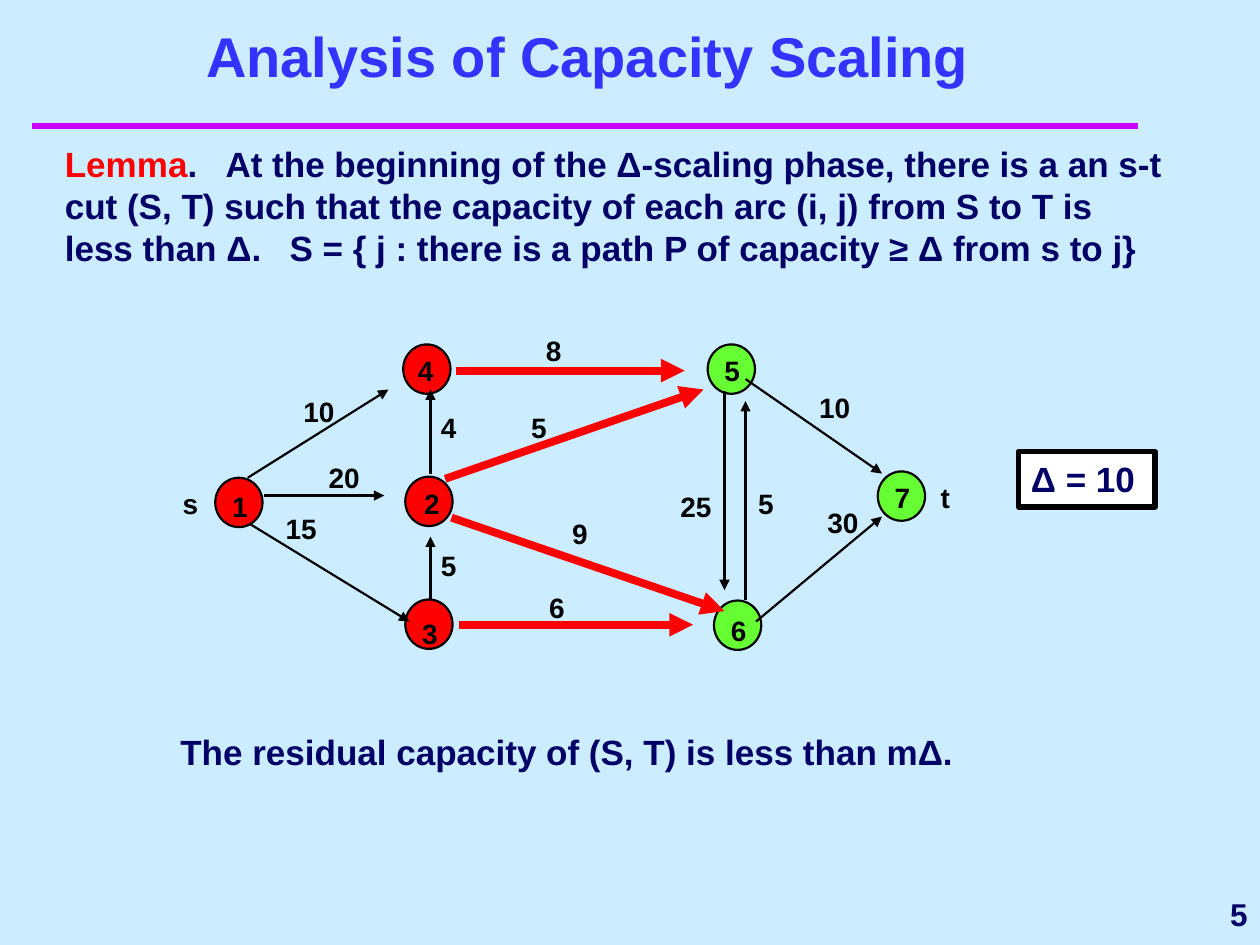
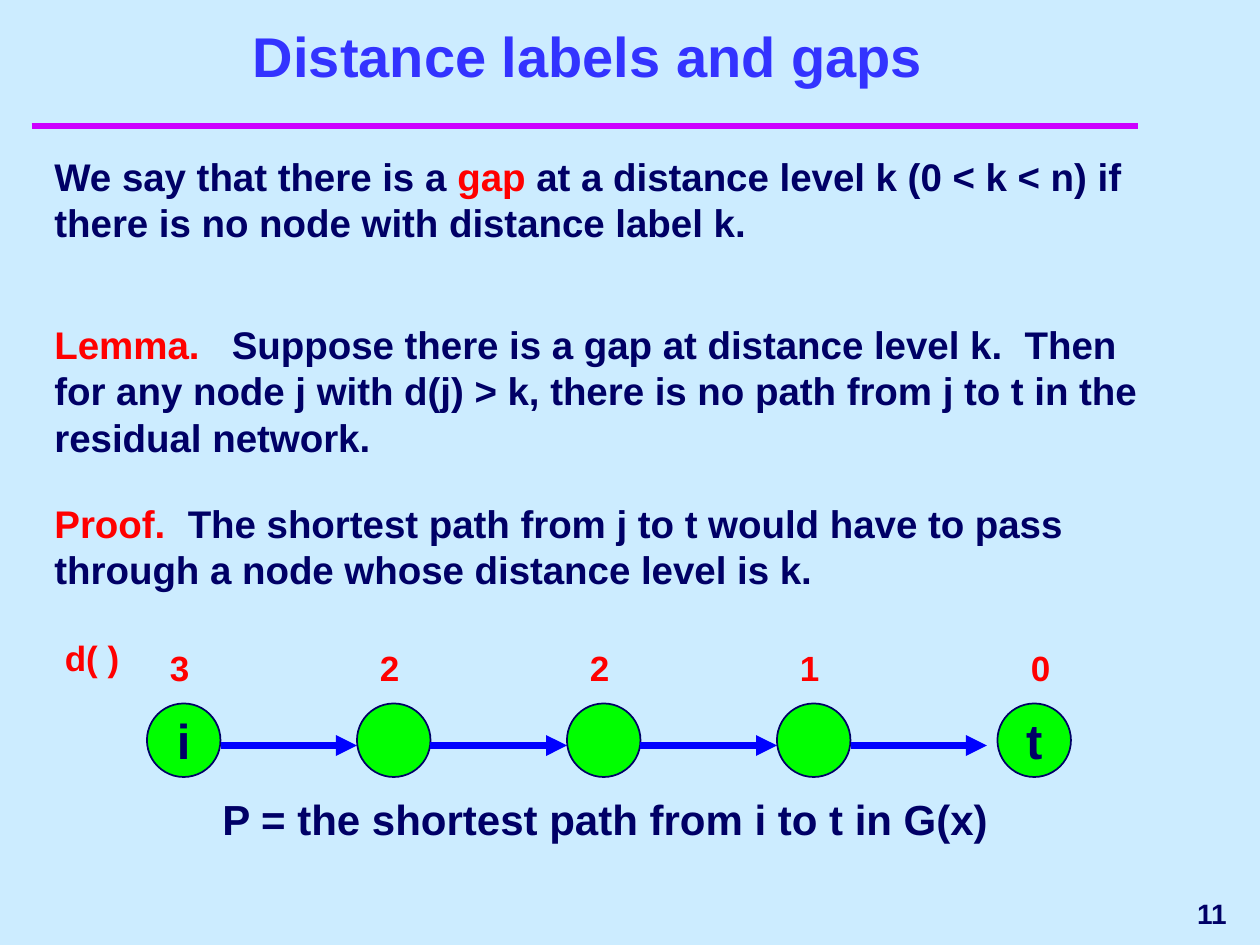
from typing import NamedTuple

from lxml.etree import SubElement
from pptx import Presentation
from pptx.dml.color import RGBColor
from pptx.enum.shapes import MSO_CONNECTOR, MSO_SHAPE
from pptx.enum.text import MSO_ANCHOR as Anchor, PP_ALIGN as Align
from pptx.oxml.ns import qn
from pptx.shapes.autoshape import Shape
from pptx.slide import Slide
from pptx.text.text import TextFrame
from pptx.util import Emu, Pt

EMU_PER_PX = 7620  # 120 px to the inch
FONT = "Arial"

SKY = RGBColor(0xCC, 0xEC, 0xFF)
NAVY = RGBColor(0x00, 0x00, 0x66)
TITLE_BLUE = RGBColor(0x33, 0x33, 0xFF)
PURPLE = RGBColor(0xCC, 0x00, 0xFF)
RED = RGBColor(0xFF, 0x00, 0x00)
LIME = RGBColor(0x66, 0xFF, 0x33)
GREEN = RGBColor(0x00, 0xFF, 0x00)
BLUE = RGBColor(0x00, 0x00, 0xFF)
BLACK = RGBColor(0x00, 0x00, 0x00)
WHITE = RGBColor(0xFF, 0xFF, 0xFF)


class Box(NamedTuple):
    left: int
    top: int
    width: int
    height: int


class Point(NamedTuple):
    x: int
    y: int


class Words(NamedTuple):
    text: str
    color: RGBColor = NAVY


class Statement(NamedTuple):
    box: Box
    size: int
    words: list[Words]
    tab_stops: tuple[int, ...] = ()


class Node(NamedTuple):
    name: str
    corner: Point
    name_at: Point
    side: RGBColor


class Arc(NamedTuple):
    capacity: str
    start: Point
    end: Point
    capacity_at: Point
    in_cut: bool = False


# Slide 1: the nodes of S are red, those of T are lime
NODES = [
    Node("1", Point(205, 455), Point(221, 466), RED),
    Node("2", Point(386, 454), Point(404, 463), RED),
    Node("3", Point(386, 571), Point(402, 587), RED),
    Node("4", Point(384, 328), Point(398, 337), RED),
    Node("5", Point(674, 328), Point(690, 337), LIME),
    Node("6", Point(680, 572), Point(696, 584), LIME),
    Node("7", Point(836, 449), Point(852, 458), LIME),
]
ARCS = [
    Arc("8", Point(434, 353), Point(652, 353), Point(520, 318), True),
    Arc("10", Point(710, 361), Point(840, 451), Point(780, 372)),
    Arc("30", Point(720, 592), Point(840, 492), Point(788, 481)),
    Arc("20", Point(251, 472), Point(366, 472), Point(313, 439)),
    Arc("10", Point(236, 455), Point(370, 371), Point(289, 376)),
    Arc("15", Point(238, 499), Point(390, 592), Point(272, 487)),
    Arc("6", Point(437, 595), Point(660, 595), Point(523, 562), True),
    Arc("5", Point(424, 456), Point(670, 371), Point(506, 391), True),
    Arc("9", Point(430, 493), Point(690, 582), Point(545, 492), True),
    Arc("4", Point(410, 451), Point(410, 371), Point(420, 391)),
    Arc("5", Point(410, 571), Point(410, 511), Point(420, 522)),
    Arc("5", Point(710, 571), Point(710, 382), Point(722, 463)),
    Arc("25", Point(690, 372), Point(690, 562), Point(648, 466)),
]
TERMINALS = [("s", Point(174, 463)), ("t", Point(896, 458))]
SCALING_STATEMENTS = [
    Statement(Box(50, 130, 1070, 132), 20, [
        Words("Lemma", RED),
        Words(".\tAt the beginning of the Δ-scaling phase, there is a an s-t cut "
              "(S, T) such that the capacity of each arc (i, j) from S to T is less "
              "than Δ.\tS = { j : there is a path P of capacity ≥ Δ from s to j}"),
    ], (153, 214)),
    Statement(Box(160, 690, 780, 53), 20,
              [Words("The residual capacity of (S, T) is less than mΔ.")]),
]

# Slide 2: left edge, name and distance label of each node on the path
PATH = [(140, "i", "3"), (340, "", "2"), (540, "", "2"), (740, "", "1"), (950, "t", "0")]
GAP_STATEMENTS = [
    Statement(Box(40, 140, 1060, 101), 22, [
        Words("We say that there is a "),
        Words("gap", RED),
        Words(" at a distance level k (0 < k < n) if there is no node with "
              "distance label k."),
    ]),
    Statement(Box(40, 300, 1060, 144), 22, [
        Words("Lemma.", RED),
        Words("\tSuppose there is a gap at distance level k.\tThen for any node j "
              "with d(j) > k, there is no path from j to t in the residual network."),
    ], (169, 924)),
    Statement(Box(40, 470, 1060, 101), 22, [
        Words("Proof.", RED),
        Words("\tThe shortest path from j to t would have to pass through a node "
              "whose distance level is k."),
    ], (127,)),
    Statement(Box(200, 750, 780, 60), 24,
              [Words("P = the shortest path from i to t in G(x)")]),
    Statement(Box(50, 600, 80, 53), 20, [Words("d( )", RED)]),
]


def px(length: int) -> Emu:
    return Emu(length * EMU_PER_PX)


def write(frame: TextFrame, words: list[Words], size: int, align: Align = Align.LEFT,
          anchor: Anchor = Anchor.TOP, tab_stops: tuple[int, ...] = (),
          inset: bool = True, wrap: bool = True) -> None:
    """Fill a frame with one bold paragraph."""
    frame.word_wrap = wrap
    frame.vertical_anchor = anchor
    frame.margin_left = frame.margin_right = px(12 if inset else 0)
    frame.margin_top = frame.margin_bottom = px(6 if inset else 0)
    paragraph = frame.paragraphs[0]
    paragraph.alignment = align
    if tab_stops:
        tabs = SubElement(paragraph._p.get_or_add_pPr(), qn("a:tabLst"))
        for stop in tab_stops:
            SubElement(tabs, qn("a:tab"), pos=str(px(stop)), algn="l")
    font = paragraph.font
    font.name, font.size, font.bold = FONT, Pt(size), True
    same_color = len({part.color for part in words}) == 1
    if same_color:
        font.color.rgb = words[0].color
    for part in words:
        run = paragraph.add_run()
        run.text = part.text
        if not same_color:
            run.font.color.rgb = part.color


def add_text(slide: Slide, box: Box, words: list[Words], size: int,
             align: Align = Align.LEFT, anchor: Anchor = Anchor.TOP,
             tab_stops: tuple[int, ...] = (), inset: bool = True) -> None:
    frame = slide.shapes.add_textbox(*map(px, box)).text_frame
    write(frame, words, size, align, anchor, tab_stops, inset)


def add_statements(slide: Slide, statements: list[Statement]) -> None:
    for item in statements:
        add_text(slide, item.box, item.words, item.size, tab_stops=item.tab_stops)


def add_label(slide: Slide, text: str, at: Point) -> None:
    """Small black label that starts right at a point."""
    add_text(slide, Box(*at, 15 * len(text), 32), [Words(text, BLACK)], 16, inset=False)


def add_outlined(slide: Slide, kind: MSO_SHAPE, box: Box, fill: RGBColor,
                 outline: RGBColor, weight: float) -> Shape:
    shape = slide.shapes.add_shape(kind, *map(px, box))
    shape.shadow.inherit = False
    shape.fill.solid()
    shape.fill.fore_color.rgb = fill
    shape.line.color.rgb = outline
    shape.line.width = Pt(weight)
    return shape


def add_line(slide: Slide, start: Point, end: Point, color: RGBColor, weight: float,
             arrow: bool = True) -> None:
    connector = slide.shapes.add_connector(MSO_CONNECTOR.STRAIGHT, *map(px, (*start, *end)))
    connector.line.color.rgb = color
    connector.line.width = Pt(weight)
    if arrow:
        SubElement(connector.line._get_or_add_ln(), qn("a:tailEnd"), type="triangle")
    SubElement(connector._element.spPr, qn("a:effectLst"))


def add_page(deck: Presentation, title: str, number: str, number_box: Box,
             number_size: int) -> Slide:
    """Blank slide with the shared background, title, rule and page number."""
    slide = deck.slides.add_slide(deck.slide_layouts[6])
    slide.background.fill.solid()
    slide.background.fill.fore_color.rgb = SKY
    add_line(slide, Point(30, 120), Point(1084, 120), PURPLE, 4, arrow=False)
    add_text(slide, number_box, [Words(number)], number_size, Align.RIGHT, Anchor.MIDDLE)
    add_text(slide, Box(50, 20, 1020, 70), [Words(title, TITLE_BLUE)], 32,
             Align.CENTER, Anchor.BOTTOM)
    return slide


def build_capacity_scaling(deck: Presentation) -> None:
    slide = add_page(deck, "Analysis of Capacity Scaling", "5", Box(1140, 840, 60, 60), 18)
    # Network
    for node in NODES:
        add_outlined(slide, MSO_SHAPE.OVAL, Box(*node.corner, 45, 47), node.side, BLACK, 1.25)
        add_label(slide, node.name, node.name_at)
    for arc in ARCS:
        color, weight = (RED, 4.5) if arc.in_cut else (BLACK, 1.25)
        add_line(slide, arc.start, arc.end, color, weight)
    for arc in ARCS:
        add_label(slide, arc.capacity, arc.capacity_at)
    for name, at in TERMINALS:
        add_label(slide, name, at)
    # Lemma, conclusion and current value of Δ
    add_statements(slide, SCALING_STATEMENTS)
    delta = add_outlined(slide, MSO_SHAPE.RECTANGLE, Box(970, 430, 130, 53), WHITE, BLACK, 3)
    write(delta.text_frame, [Words("Δ = 10")], 20)


def build_distance_gaps(deck: Presentation) -> None:
    slide = add_page(deck, "Distance labels and gaps", "11", Box(950, 840, 230, 60), 16)
    add_statements(slide, GAP_STATEMENTS)
    # Shortest path with its distance labels
    diameter, arrow_length, arrow_y = 70, 130, 710
    for left, name, distance in PATH:
        node = add_outlined(slide, MSO_SHAPE.OVAL, Box(left, 670, diameter, diameter),
                            GREEN, NAVY, 1)
        if name:
            write(node.text_frame, [Words(name)], 28, Align.CENTER, Anchor.MIDDLE, wrap=False)
        is_sink = name == "t"
        if not is_sink:
            tail = left + diameter
            add_line(slide, Point(tail, arrow_y), Point(tail + arrow_length, arrow_y), BLUE, 4)
        label_left = left + (20 if is_sink else 10)
        add_text(slide, Box(label_left, 610, 50, 53), [Words(distance, RED)], 20)


def main() -> None:
    deck = Presentation()
    deck.slide_width, deck.slide_height = px(1200), px(900)
    build_capacity_scaling(deck)
    build_distance_gaps(deck)
    deck.save("out.pptx")


if __name__ == "__main__":
    main()
